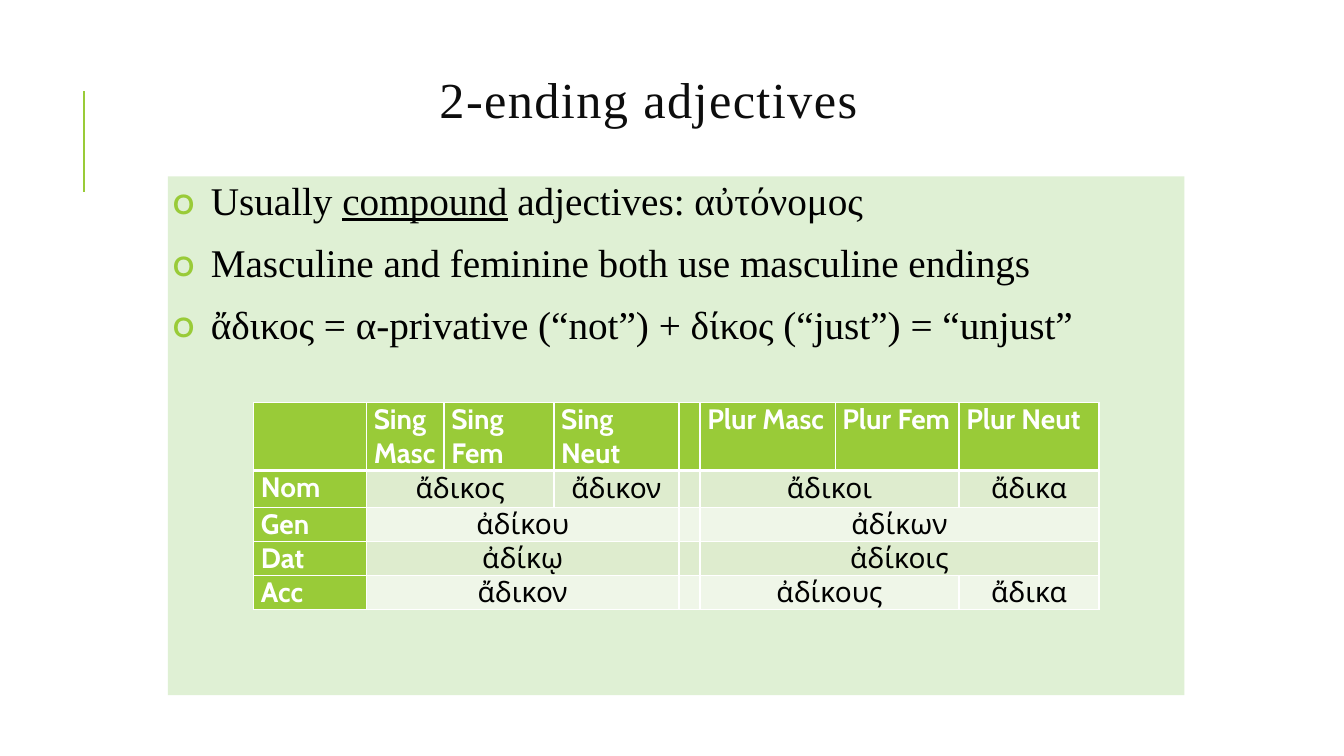
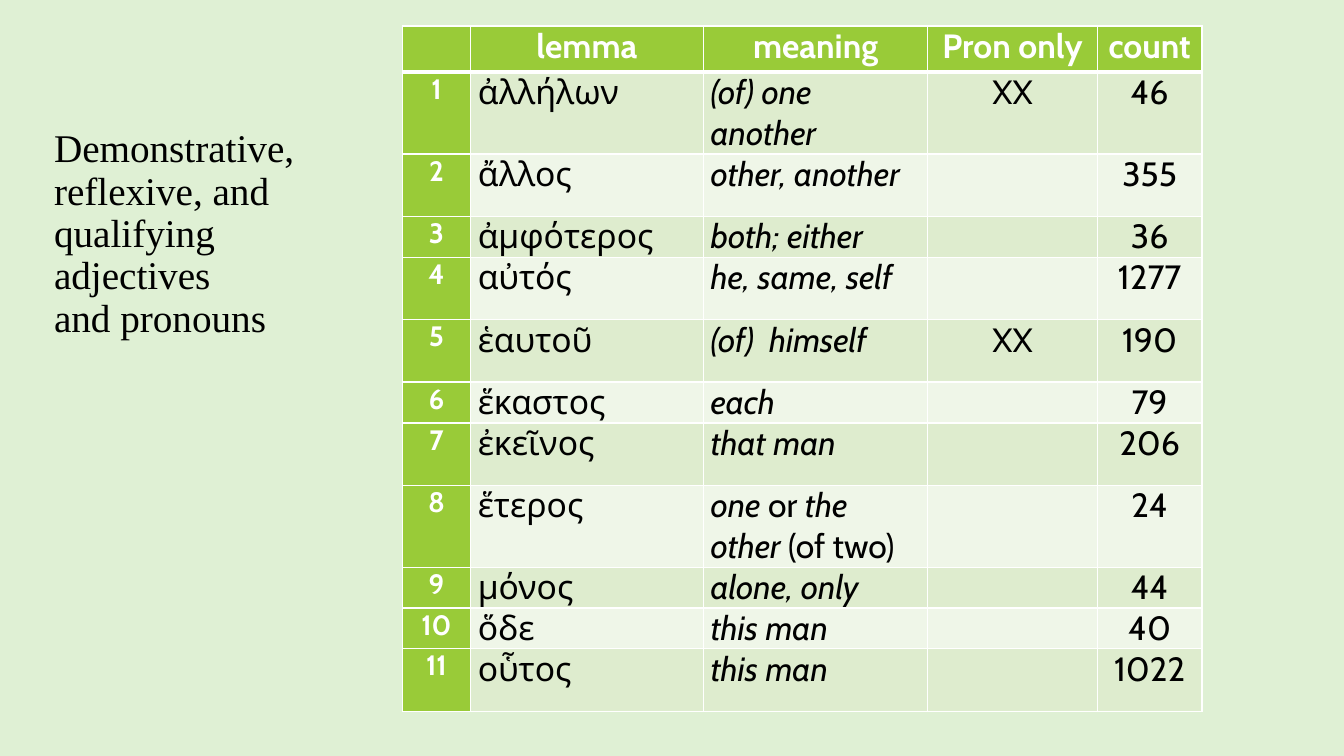
from lxml import etree
from pptx import Presentation
from pptx.dml.color import RGBColor
from pptx.enum import shapes, text
from pptx.oxml import ns
from pptx.util import Pt

COLORS = {
    "accent": "99CB38", "panel": "DFF0D4", "band": "DEECCE", "pale": "EFF6E8",
    "white": "FFFFFF", "black": "000000", "title": "0D0D0D",
}
SERIF, SANS = "Times New Roman", "Cabin"
LEFT, CENTER = text.PP_ALIGN.LEFT, text.PP_ALIGN.CENTER
TOP, MIDDLE = text.MSO_ANCHOR.TOP, text.MSO_ANCHOR.MIDDLE
SLIDE_SIZE = (960, 540)

TITLE = "2-ending adjectives"
BULLETS = [
    ("Usually ", "compound", " adjectives: αὐτόνομος"),
    ("Masculine and feminine both use masculine endings",),
    ("ἄδικος = α-privative (“not”) + δίκος (“just”) = “unjust”",),
]
ENDINGS = [
    ["", "Sing Masc", "Sing Fem", "Sing Neut", "", "Plur Masc", "Plur Fem", "Plur Neut"],
    ["Nom", "ἄδικος", None, "ἄδικον", "", "ἄδικοι", None, "ἄδικα"],
    ["Gen", "ἀδίκου", None, None, "", "ἀδίκων", None, None],
    ["Dat", "ἀδίκῳ", None, None, "", "ἀδίκοις", None, None],
    ["Acc", "ἄδικον", None, None, "", "ἀδίκους", None, "ἄδικα"],
]
ENDING_WIDTHS = [80.6, 55.4, 78.5, 89.3, 15.1, 96.5, 88.5, 100]
ENDING_HEIGHTS = [48.6, 26.6, 24.3, 24.3, 24.3]

HEADING = ["Demonstrative,", "reflexive, and", "qualifying", "adjectives", "and pronouns"]
LEMMA_HEADER = ["", "lemma", "meaning", "Pron only", "count"]
SHORT, MEDIUM, TALL = 28, 44.6, 56.2
LEMMAS = [
    ("ἀλλήλων", ("(of) one another",), "XX", "46", TALL),
    ("ἄλλος", ("other, another",), "", "355", MEDIUM),
    ("ἀμφότερος", ("both; either",), "", "36", SHORT),
    ("αὐτός", ("he, same, self",), "", "1277", MEDIUM),
    ("ἑαυτοῦ", ("(of)  himself",), "XX", "190", MEDIUM),
    ("ἕκαστος", ("each",), "", "79", SHORT),
    ("ἐκεῖνος", ("that man",), "", "206", MEDIUM),
    ("ἕτερος", ("one", " or ", "the other", " (of two)"), "", "24", TALL),
    ("μόνος", ("alone, only",), "", "44", SHORT),
    ("ὅδε", ("this man",), "", "40", SHORT),
    ("οὗτος", ("this man",), "", "1022", MEDIUM),
]
LEMMA_WIDTHS = [48.6, 166.3, 160.4, 121, 74.9]


def color(name):
    return RGBColor.from_string(COLORS[name])


def add_child(parent, tag, **attributes):
    return etree.SubElement(parent, ns.qn(tag), attributes)


def style(font, name, size, color_name, bold=False):
    font.name, font.size, font.bold = name, Pt(size), bold
    font.color.rgb = color(color_name)


def set_margins(box, left, top, right, bottom):
    box.margin_left, box.margin_top = Pt(left), Pt(top)
    box.margin_right, box.margin_bottom = Pt(right), Pt(bottom)


def add_panel(slide, left, top, width, height, text_left=3.6, text_top=3.6):
    panel = slide.shapes.add_shape(
        shapes.MSO_SHAPE.RECTANGLE, Pt(left), Pt(top), Pt(width), Pt(height))
    panel.shadow.inherit = False
    panel.fill.solid()
    panel.fill.fore_color.rgb = color("panel")
    panel.line.fill.background()
    frame = panel.text_frame
    frame.word_wrap = True
    frame.vertical_anchor = TOP
    set_margins(frame, text_left, text_top, 3.6, 3.6)
    return frame


def add_title(slide):
    box = slide.shapes.add_textbox(Pt(80.6), Pt(46), Pt(765.4), Pt(57))
    frame = box.text_frame
    frame.word_wrap = True
    frame.vertical_anchor = MIDDLE
    frame.text = TITLE
    paragraph = frame.paragraphs[0]
    paragraph.alignment = CENTER
    paragraph.line_spacing = 0.8
    font = paragraph.runs[0].font
    style(font, SERIF, 36, "title")
    paragraph.runs[0]._r.get_or_add_rPr().set("spc", "100")


def add_accent_line(slide):
    line = slide.shapes.add_connector(
        shapes.MSO_CONNECTOR.STRAIGHT, Pt(60), Pt(136.8), Pt(60), Pt(64.8))
    line.line.color.rgb = color("accent")
    line.line.width = Pt(1.5)
    add_child(line._element.spPr, "a:effectLst")


def add_bullet(paragraph):
    properties = paragraph._p.get_or_add_pPr()
    properties.set("marL", str(Pt(27)))
    properties.set("indent", str(Pt(-27)))
    bullet_color = add_child(properties, "a:buClr")
    add_child(bullet_color, "a:srgbClr", val=COLORS["accent"])
    add_child(properties, "a:buFont", typeface=SANS)
    add_child(properties, "a:buChar", char="o")


def add_bullets(frame):
    for index, parts in enumerate(BULLETS):
        paragraph = frame.add_paragraph() if index else frame.paragraphs[0]
        paragraph.alignment = LEFT
        paragraph.line_spacing = 0.9
        paragraph.space_before = Pt(12 if index else 0)
        paragraph.space_after = Pt(2)
        add_bullet(paragraph)
        for position, part in enumerate(parts):
            run = paragraph.add_run()
            run.text = part
            style(run.font, SERIF, 28, "black")
            run.font.underline = position % 2 == 1


def add_heading(frame):
    frame.text = "\v".join(HEADING)
    paragraph = frame.paragraphs[0]
    paragraph.alignment = LEFT
    paragraph.line_spacing = 0.9
    for run in paragraph.runs:
        style(run.font, SERIF, 28, "black")


def add_borders(cell, row):
    properties = cell._tc.get_or_add_tcPr()
    heavy = {0: "a:lnB", 1: "a:lnT"}.get(row)
    for side in ("a:lnL", "a:lnR", "a:lnT", "a:lnB"):
        border = add_child(properties, side, w=str(Pt(3 if side == heavy else 1)))
        fill = add_child(border, "a:solidFill")
        add_child(fill, "a:srgbClr", val=COLORS["white"])


def fill_cell(cell, content, row, column, size, alignment, anchor):
    label = row == 0 or column == 0
    add_borders(cell, row)
    cell.fill.solid()
    cell.fill.fore_color.rgb = color("accent" if label else "band" if row % 2 else "pale")
    set_margins(cell, 5.2, 0, 5.2, 0)
    cell.vertical_anchor = anchor
    paragraph = cell.text_frame.paragraphs[0]
    paragraph.alignment = alignment
    mixed = isinstance(content, tuple)
    for position, part in enumerate(content if mixed else (content,)):
        if part:
            run = paragraph.add_run()
            run.text = part
            style(run.font, SANS, size, "white" if label else "black", label)
            run.font.italic = mixed and position % 2 == 0


def add_grid(slide, left, top, widths, heights, rows, look):
    table = slide.shapes.add_table(
        len(rows), len(widths), Pt(left), Pt(top), Pt(sum(widths)), Pt(sum(heights))).table
    table.horz_banding = False
    for column, width in zip(table.columns, widths):
        column.width = Pt(width)
    for line, height in zip(table.rows, heights):
        line.height = Pt(height)
    for row, contents in enumerate(rows):
        for column, content in enumerate(contents):
            fill_cell(table.cell(row, column), content, row, column, *look(row, column))
        starts = [column for column, content in enumerate(contents) if content is not None]
        for start, end in zip(starts, starts[1:] + [len(contents)]):
            if end - start > 1:
                table.cell(row, start).merge(table.cell(row, end - 1))


def ending_look(row, column):
    return (20, CENTER, MIDDLE) if row and column else (20, LEFT, TOP)


def lemma_look(row, column):
    size = 20 if row and column == 0 else 24
    return size, LEFT if row and column in (1, 2) else CENTER, TOP


def main():
    presentation = Presentation()
    presentation.slide_width, presentation.slide_height = map(Pt, SLIDE_SIZE)
    blank = presentation.slide_layouts[6]

    slide = presentation.slides.add_slide(blank)
    add_accent_line(slide)
    add_title(slide)
    add_bullets(add_panel(slide, 120, 126, 726, 370.6))
    add_grid(slide, 181.2, 287.4, ENDING_WIDTHS, ENDING_HEIGHTS, ENDINGS, ending_look)

    slide = presentation.slides.add_slide(blank)
    add_heading(add_panel(slide, 0, 0, *SLIDE_SIZE, text_left=38.6, text_top=92))
    rows = [LEMMA_HEADER]
    rows += [[str(number), *lemma[:4]] for number, lemma in enumerate(LEMMAS, 1)]
    heights = [33] + [lemma[4] for lemma in LEMMAS]
    add_grid(slide, 287.5, 18.6, LEMMA_WIDTHS, heights, rows, lemma_look)

    presentation.save("out.pptx")


if __name__ == "__main__":
    main()
